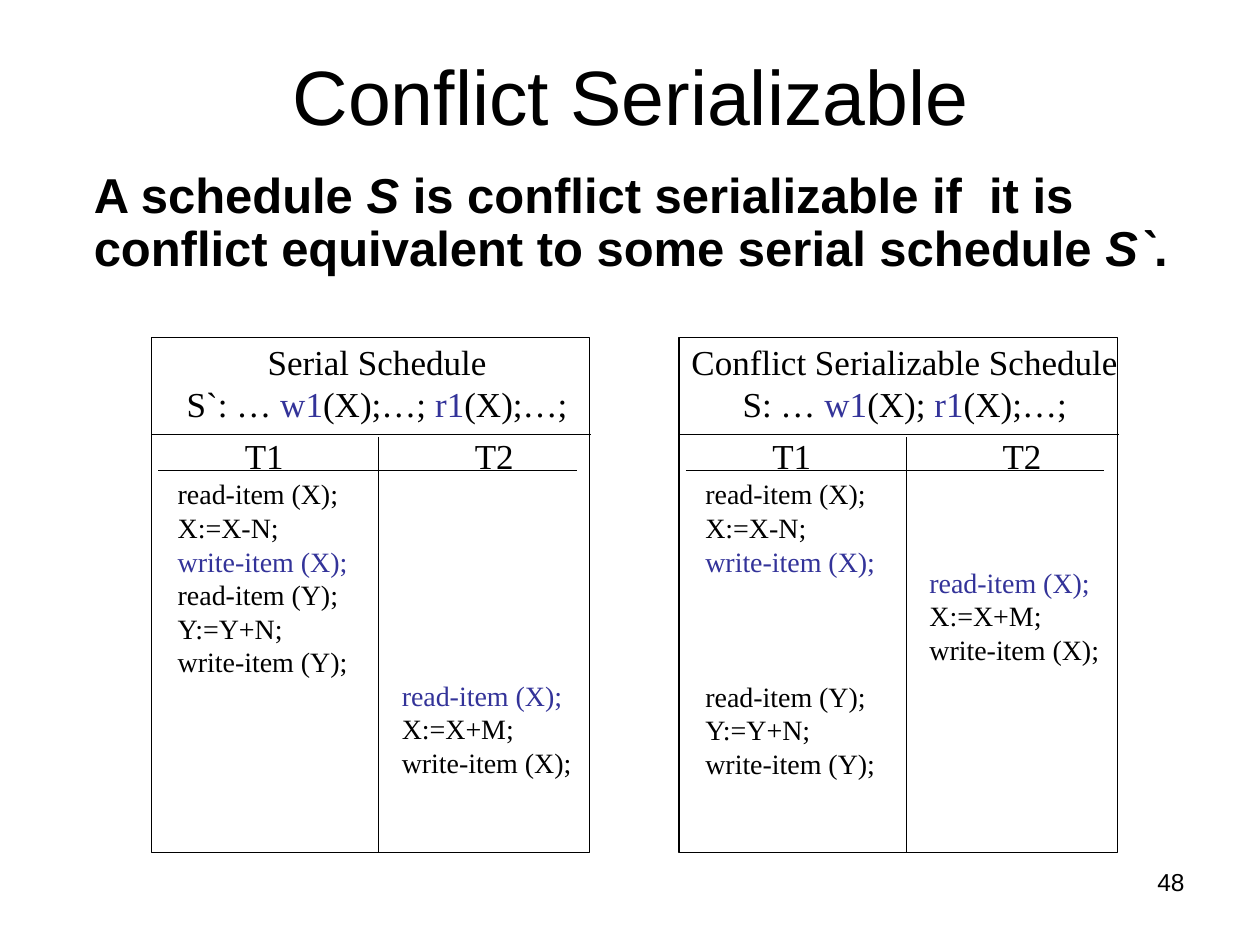
from dataclasses import dataclass

from lxml import etree
from pptx import Presentation
from pptx import util as u
from pptx.dml.color import RGBColor
from pptx.enum import shapes, text
from pptx.oxml.ns import qn

Pt = u.Pt


@dataclass(frozen=True)
class Theme:
    ink: RGBColor = RGBColor(0, 0, 0)
    conflict: RGBColor = RGBColor(0x33, 0x33, 0x99)
    sans: str = "Arial"
    serif: str = "Times New Roman"
    title: float = 44
    body: float = 28
    heading: float = 20
    step: float = 16
    number: float = 14
    rule: float = 0.75


@dataclass(frozen=True)
class Span:
    words: str
    conflict: bool = False
    italic: bool | None = None


@dataclass(frozen=True)
class Step:
    action: str
    conflict: bool = False
    gap: float = 0


@dataclass(frozen=True)
class Schedule:
    left: float
    name: str
    history: list[Span]
    first: list[Step]
    second: list[Step]


THEME = Theme()
FRAME_TOP, FRAME_WIDTH, FRAME_HEIGHT = 193, 250.5, 294
DIVIDER = 130

READ_X, WRITE_X = "read-item (X);", "write-item (X);"
UPDATE_X = [Step(READ_X), Step("X:=X-N;"), Step(WRITE_X, conflict=True)]


def update_y(gap: float = 0) -> list[Step]:
    return [Step("read-item (Y);", gap=gap), Step("Y:=Y+N;"), Step("write-item (Y);")]


def second_update(gap: float) -> list[Step]:
    return [Step(READ_X, conflict=True, gap=gap), Step("X:=X+M;"), Step(WRITE_X)]


SCHEDULES = [
    Schedule(
        86.5, "Serial Schedule",
        [Span("S`: … "), Span("w1", True), Span("(X);…; "), Span("r1", True), Span("(X);…;")],
        UPDATE_X + update_y(), second_update(gap=115)),
    Schedule(
        388, "Conflict Serializable Schedule",
        [Span("S: … "), Span("w1", True), Span("(X); "), Span("r1", True), Span("(X);…;")],
        UPDATE_X + update_y(gap=58), second_update(gap=50.5)),
]


def add_box(page, left: float, top: float, width: float, height: float, wrap: bool = True):
    """Add an empty text box and return its text frame."""
    frame = page.shapes.add_textbox(Pt(left), Pt(top), Pt(width), Pt(height)).text_frame
    frame.word_wrap = wrap
    return frame


def write(para, spans: list[Span], face: str, size: float, align=text.PP_ALIGN.LEFT,
          bold: bool = False) -> None:
    para.alignment = align
    para.font.name = face
    para.font.size = Pt(size)
    para.font.bold = bold
    para.font.color.rgb = THEME.ink
    for span in spans:
        run = para.add_run()
        run.text = span.words
        if span.conflict:
            run.font.color.rgb = THEME.conflict
        if span.italic:
            run.font.italic = True


def add_line(page, x1: float, y1: float, x2: float, y2: float) -> None:
    line = page.shapes.add_connector(
        shapes.MSO_CONNECTOR.STRAIGHT, Pt(x1), Pt(y1), Pt(x2), Pt(y2))
    line.line.color.rgb = THEME.ink
    line.line.width = Pt(THEME.rule)
    etree.SubElement(line._element.spPr, qn("a:effectLst"))


def add_column(page, left: float, width: float, name: str, steps: list[Step]) -> None:
    """Add one transaction: its name, then its steps in time order."""
    frame = add_box(page, left, 245, width, 233)
    write(frame.paragraphs[0], [Span(name)], THEME.serif, THEME.heading, text.PP_ALIGN.CENTER)
    for step in steps:
        para = frame.add_paragraph()
        if step.gap:
            para.space_before = Pt(step.gap)
        write(para, [Span(step.action, step.conflict)], THEME.serif, THEME.step)


def add_schedule(page, schedule: Schedule) -> None:
    left, bottom = schedule.left, FRAME_TOP + FRAME_HEIGHT
    add_column(page, left + 8, 113, "T1", schedule.first)
    add_column(page, left + 136, 120, "T2", schedule.second)
    add_line(page, left + 4, 269, left + 243, 269)
    add_line(page, left + DIVIDER, 250, left + DIVIDER, bottom)

    heading = add_box(page, left, 191, 258, 55.5, wrap=False)
    for para, spans in ((heading.paragraphs[0], [Span(schedule.name)]),
                        (heading.add_paragraph(), schedule.history)):
        write(para, spans, THEME.serif, THEME.heading, text.PP_ALIGN.CENTER)

    border = page.shapes.add_shape(
        shapes.MSO_SHAPE.RECTANGLE, Pt(left), Pt(FRAME_TOP), Pt(FRAME_WIDTH), Pt(FRAME_HEIGHT))
    border.shadow.inherit = False
    border.fill.background()
    border.line.color.rgb = THEME.ink
    border.line.width = Pt(THEME.rule)
    add_line(page, left, 248.5, left + FRAME_WIDTH + 1, 248.5)


def main() -> None:
    deck = Presentation()
    deck.slide_width, deck.slide_height = Pt(720), Pt(540)
    page = deck.slides.add_slide(deck.slide_layouts[6])

    number = add_box(page, 516, 492, 168, 37.5)
    write(number.paragraphs[0], [Span("48")], THEME.sans, THEME.number, text.PP_ALIGN.RIGHT)

    title = add_box(page, 36, 18, 649, 72)
    title.vertical_anchor = text.MSO_ANCHOR.MIDDLE
    write(title.paragraphs[0], [Span("Conflict Serializable")], THEME.sans, THEME.title,
          text.PP_ALIGN.CENTER)

    definition = add_box(page, 46.5, 94.5, 638, 82)
    para = definition.paragraphs[0]
    para.line_spacing = 0.9
    write(para, [
        Span("A schedule "), Span("S", italic=True),
        Span(" is conflict serializable if  it is conflict equivalent to some serial schedule "),
        Span("S`", italic=True), Span("."),
    ], THEME.sans, THEME.body, bold=True)

    for schedule in SCHEDULES:
        add_schedule(page, schedule)
    deck.save("out.pptx")


if __name__ == "__main__":
    main()
